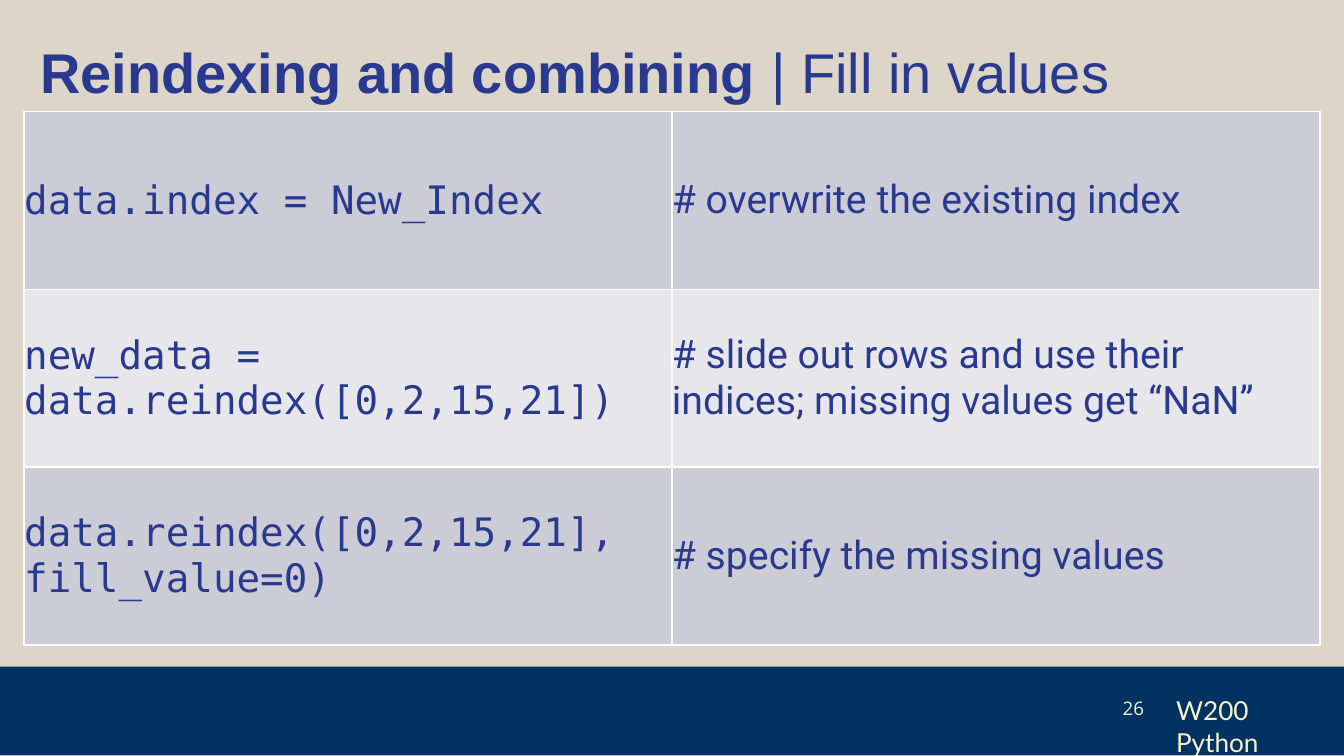
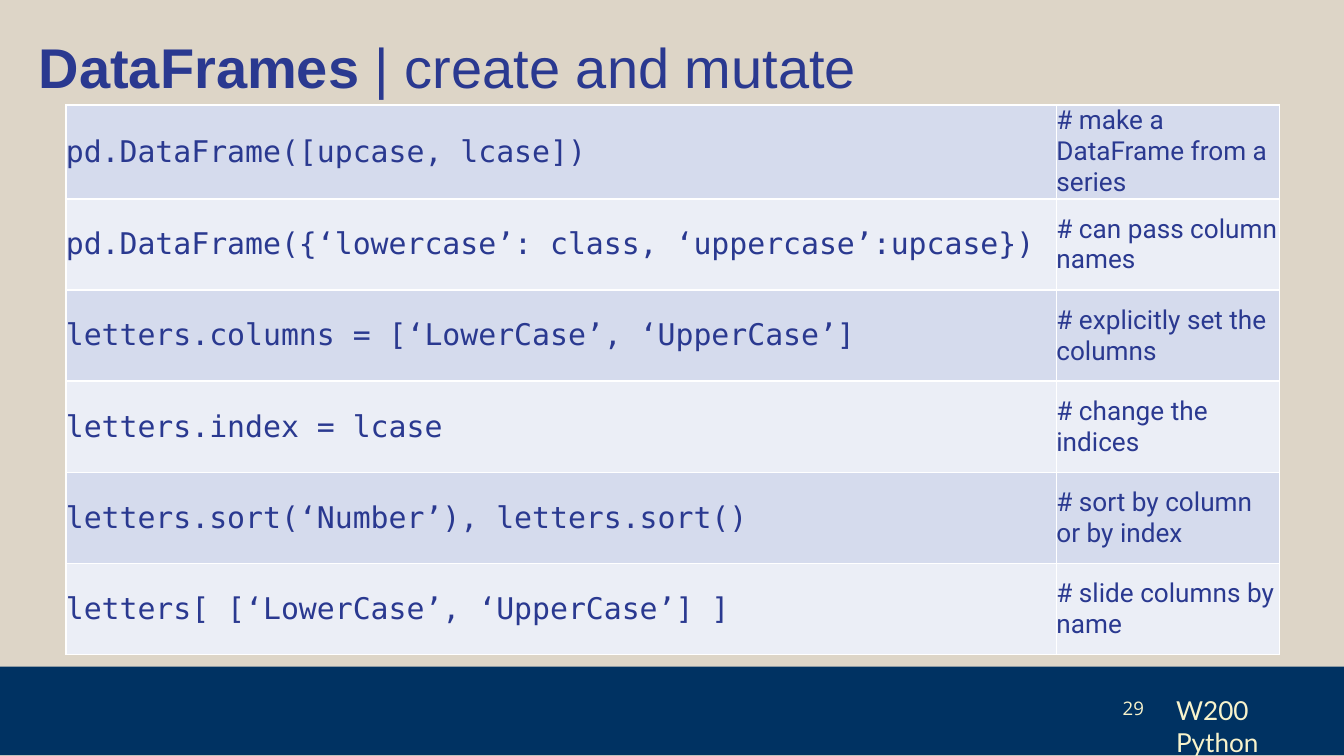
from dataclasses import dataclass

from lxml.etree import SubElement as Sub
from pptx import Presentation
from pptx.dml.color import RGBColor as RGB
from pptx.enum.shapes import MSO_SHAPE as Shape
from pptx.enum.text import MSO_ANCHOR as Anchor, PP_ALIGN as Align
from pptx.oxml.ns import qn
from pptx.util import Inches, Pt


@dataclass(frozen=True)
class Theme:
    sand: str = "DDD5C7"
    navy: str = "003262"
    cream: str = "F8F3CB"
    ink: str = "2A3990"
    rule: str = "FFFFFF"
    head: str = "Arial"
    code: str = "DejaVu Sans Mono"
    note: str = "Roboto"
    brand: str = "Lato"
    digit: str = "Open Sans"
    title_size: int = 30
    brand_size: int = 14
    digit_size: int = 10


theme = Theme()


def style(run, face, size, color, bold=False):
    font = run.font
    font.name, font.size, font.bold = face, Pt(size), bold
    font.color.rgb = RGB.from_string(color)


def add_box(slide, place, pad):
    """Add a wrapped text box with equal insets and return its text frame."""
    frame = slide.shapes.add_textbox(*map(Inches, place)).text_frame
    frame.word_wrap = True
    frame.margin_left = frame.margin_right = Inches(pad)
    frame.margin_top = frame.margin_bottom = Inches(pad)
    return frame


pages = [
    {
        "number": 26,
        "title": ("Reindexing and combining ", "| Fill in values"),
        "corner": (0.2, 0.18),
        "table": (0.18, 0.83),
        "widths": (4.82, 4.82),
        "height": 3.97,
        "sizes": (21, 21),
        "fills": ("CBCCD5", "E7E7EB"),
        "rows": [
            ("data.index = New_Index", "# overwrite the existing index"),
            ("new_data = data.reindex([0,2,15,21])",
             "# slide out rows and use their indices; missing values get “NaN”"),
            ("data.reindex([0,2,15,21], fill_value=0)",
             "# specify the missing values"),
        ],
    },
    {
        "number": 29,
        "title": ("DataFrames ", "| create and mutate"),
        "corner": (0.19, 0.14),
        "table": (0.49, 0.78),
        "widths": (7.37, 1.66),
        "height": 4.07,
        "sizes": (16, 14),
        "fills": ("D5DBED", "EBEEF6"),
        "rows": [
            ("pd.DataFrame([upcase, lcase])", "# make a DataFrame from a series"),
            ("pd.DataFrame({‘lowercase’: class, ‘uppercase’:upcase})",
             "# can pass column names"),
            ("letters.columns = [‘LowerCase’, ‘UpperCase’]",
             "# explicitly set the columns"),
            ("letters.index = lcase", "# change the indices"),
            ("letters.sort(‘Number’), letters.sort()",
             "# sort by column or by index"),
            ("letters[ [‘LowerCase’, ‘UpperCase’] ]", "# slide columns by name"),
        ],
    },
]

deck = Presentation()
deck.slide_width = Inches(10)
deck.slide_height = deck.slide_width * 9 // 16

for page in pages:
    slide = deck.slides.add_slide(deck.slide_layouts[6])
    back = slide.background.fill
    back.solid()
    back.fore_color.rgb = RGB.from_string(theme.sand)

    # Footer
    band = slide.shapes.add_shape(
        Shape.RECTANGLE, 0, Inches(4.96), Inches(10), Inches(0.66))
    band.shadow.inherit = False
    band.fill.solid()
    band.fill.fore_color.rgb = RGB.from_string(theme.navy)
    band.line.fill.background()

    brand = add_box(slide, (8.75, 5.17, 1.09, 0.19), 0)
    brand.text = "W200 Python"
    style(brand.paragraphs[0].runs[0], theme.brand, theme.brand_size, theme.cream)

    # Title
    title = add_box(slide, (*page["corner"], 9.32, 0.66), 0.1)
    for text, bold in zip(page["title"], (True, False)):
        run = title.paragraphs[0].add_run()
        run.text = text
        style(run, theme.head, theme.title_size, theme.ink, bold)

    # Slide number
    digit = add_box(slide, (8.24, 5.07, 0.37, 0.39), 0.1)
    digit.word_wrap = False
    digit.vertical_anchor = Anchor.MIDDLE
    digit.text = str(page["number"])
    digit.paragraphs[0].alignment = Align.RIGHT
    style(digit.paragraphs[0].runs[0], theme.digit, theme.digit_size, theme.cream)

    # Code and notes
    rows, widths = page["rows"], page["widths"]
    place = (*page["table"], sum(widths), page["height"])
    table = slide.shapes.add_table(
        len(rows), len(widths), *map(Inches, place)).table
    table.first_row = table.horz_banding = False
    for col, width in zip(table.columns, widths):
        col.width = Inches(width)
    for i, row in enumerate(rows):
        for j, text in enumerate(row):
            cell = table.cell(i, j)
            cell.margin_left = cell.margin_right = 0
            cell.margin_top = cell.margin_bottom = 0
            cell.vertical_anchor = Anchor.MIDDLE
            props = cell._tc.get_or_add_tcPr()
            for side in ("a:lnL", "a:lnR", "a:lnT", "a:lnB"):
                line = Sub(props, qn(side), w=str(Pt(1)))
                Sub(Sub(line, qn("a:solidFill")), qn("a:srgbClr"), val=theme.rule)
            cell.fill.solid()
            cell.fill.fore_color.rgb = RGB.from_string(page["fills"][i % 2])
            cell.text_frame.text = text
            style(cell.text_frame.paragraphs[0].runs[0],
                  (theme.code, theme.note)[j], page["sizes"][j], theme.ink)

deck.save("out.pptx")
